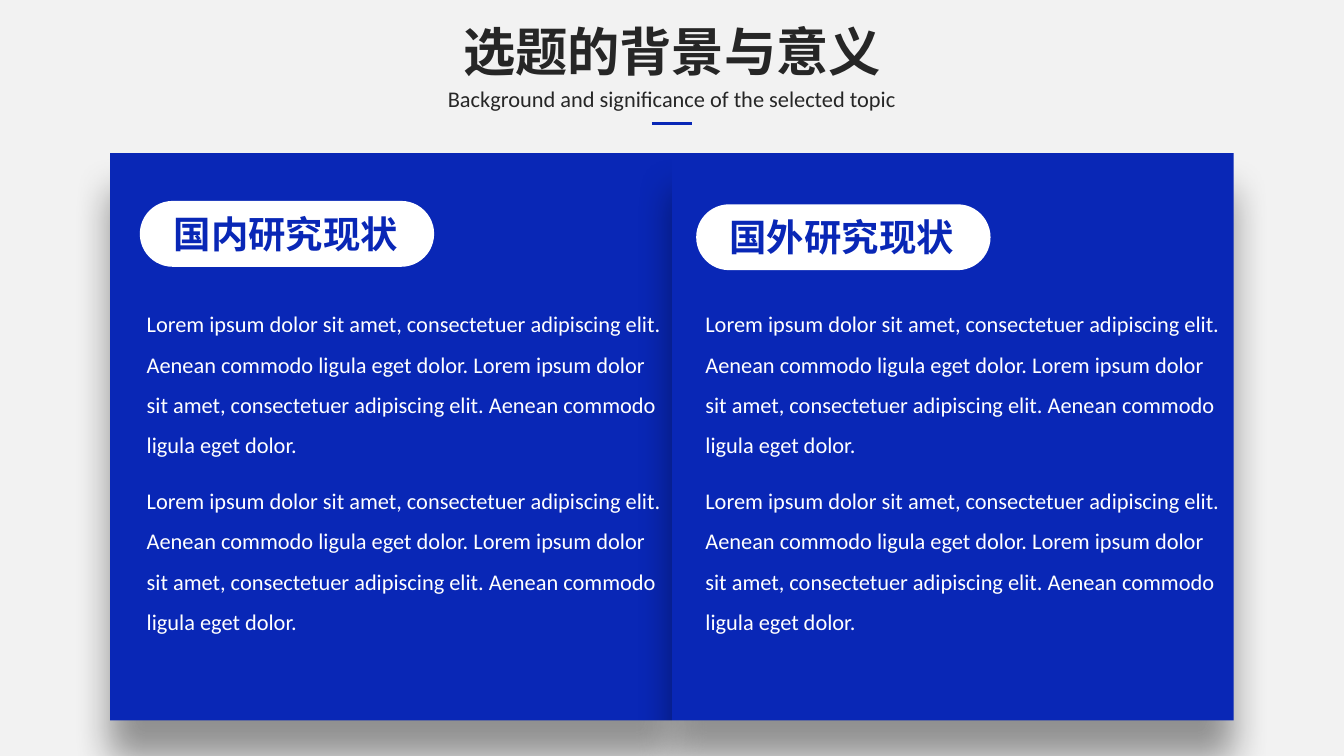
from dataclasses import dataclass

from lxml.etree import SubElement
from pptx import Presentation
from pptx.dml.color import RGBColor
from pptx.enum.shapes import MSO_CONNECTOR, MSO_SHAPE
from pptx.enum.text import MSO_AUTO_SIZE, PP_ALIGN
from pptx.oxml.ns import qn
from pptx.shapes.autoshape import Shape
from pptx.slide import Slide
from pptx.util import Inches, Pt

CELL = Inches(0.1)
COLS, ROWS = 100, 56.25
BLUE, WHITE, INK, PALE = "0927B6", "FFFFFF", "262626", "F2F2F2"
LATIN, HAN = "Calibri", "Noto Sans CJK SC"
LOREM = "Lorem ipsum dolor sit amet, consectetuer adipiscing elit. Aenean commodo ligula eget dolor."
BODY = f"{LOREM} {LOREM}"


@dataclass(frozen=True)
class Box:
    col: float
    row: float
    wide: float
    high: float

    def spans(self) -> list[int]:
        return [round(n * CELL) for n in (self.col, self.row, self.wide, self.high)]


@dataclass(frozen=True)
class Style:
    size: float
    face: str
    color: str
    bold: bool = False
    align: PP_ALIGN = PP_ALIGN.LEFT
    lines: float = 1.0
    wrap: bool = False


@dataclass(frozen=True)
class Panel:
    title: str
    left: float
    pill: Box
    label: Box
    text: float


HEAD = Style(28, HAN, INK, True, PP_ALIGN.CENTER)
SUB = Style(12, LATIN, INK, align=PP_ALIGN.CENTER)
LABEL = Style(20, HAN, BLUE, True)
PROSE = Style(12, LATIN, WHITE, lines=1.5, wrap=True)

WIDE, HIGH, TOP = 41.8, 42.2, 11.4
MID = COLS / 2
PANELS = [
    Panel("国内研究现状", MID - WIDE, Box(10.4, 14.95, 21.9, 4.9), Box(11.95, 15.2, 18.8, 4.4), 9.93),
    Panel("国外研究现状", MID, Box(51.8, 15.2, 21.9, 4.9), Box(53.3, 15.45, 18.8, 4.4), 51.5),
]


def paint(code: str) -> RGBColor:
    return RGBColor.from_string(code)


def block(slide: Slide, kind: MSO_SHAPE, box: Box, color: str) -> Shape:
    shape = slide.shapes.add_shape(kind, *box.spans())
    shape.shadow.inherit = False
    shape.fill.solid()
    shape.fill.fore_color.rgb = paint(color)
    shape.line.fill.background()
    return shape


def shade(shape: Shape) -> None:
    effects = shape._element.spPr.find(qn("a:effectLst"))
    outer = SubElement(effects, qn("a:outerShdw"), blurRad=str(Pt(20)), dist=str(Pt(20)),
                       dir="5400000", algn="t", rotWithShape="0")
    color = SubElement(outer, qn("a:srgbClr"), val="000000")
    SubElement(color, qn("a:alpha"), val="40000")


def write(slide: Slide, box: Box, text: str, style: Style) -> None:
    frame = slide.shapes.add_textbox(*box.spans()).text_frame
    frame.word_wrap = style.wrap
    frame.auto_size = MSO_AUTO_SIZE.SHAPE_TO_FIT_TEXT
    para = frame.paragraphs[0]
    para.text = text
    para.alignment = style.align
    para.line_spacing = style.lines
    font = para.font
    font.size = Pt(style.size)
    font.bold = style.bold
    font.color.rgb = paint(style.color)
    font.name = style.face
    props = para._p.pPr.find(qn("a:defRPr"))
    SubElement(props, qn("a:ea"), typeface=style.face)


def rule(slide: Slide, row: float, wide: float) -> None:
    ends = [round(n * CELL) for n in (MID - wide / 2, row, MID + wide / 2, row)]
    line = slide.shapes.add_connector(MSO_CONNECTOR.STRAIGHT, *ends)
    line.line.color.rgb = paint(BLUE)
    line.line.width = Pt(1.5)
    SubElement(line._element.spPr, qn("a:effectLst"))


def fill(slide: Slide, panel: Panel) -> None:
    pill = block(slide, MSO_SHAPE.ROUNDED_RECTANGLE, panel.pill, WHITE)
    pill.adjustments[0] = 0.5
    write(slide, panel.label, panel.title, LABEL)
    for step in range(2):
        write(slide, Box(panel.text, 21.6 + step * 13.15, 40.9, 13.1), BODY, PROSE)


def main() -> None:
    deck = Presentation()
    deck.slide_width = round(COLS * CELL)
    deck.slide_height = round(ROWS * CELL)
    slide = deck.slides.add_slide(deck.slide_layouts[6])
    slide.background.fill.solid()
    slide.background.fill.fore_color.rgb = paint(PALE)

    write(slide, Box(33.3, 0.95, 33.4, 5.7), "选题的背景与意义", HEAD)
    write(slide, Box(32.3, 5.85, 35.4, 3), "Background and significance of the selected topic", SUB)
    rule(slide, 9.2, 3)
    for panel in PANELS:
        shade(block(slide, MSO_SHAPE.RECTANGLE, Box(panel.left, TOP, WIDE, HIGH), BLUE))
    for panel in PANELS:
        fill(slide, panel)
    deck.save("out.pptx")


if __name__ == "__main__":
    main()
